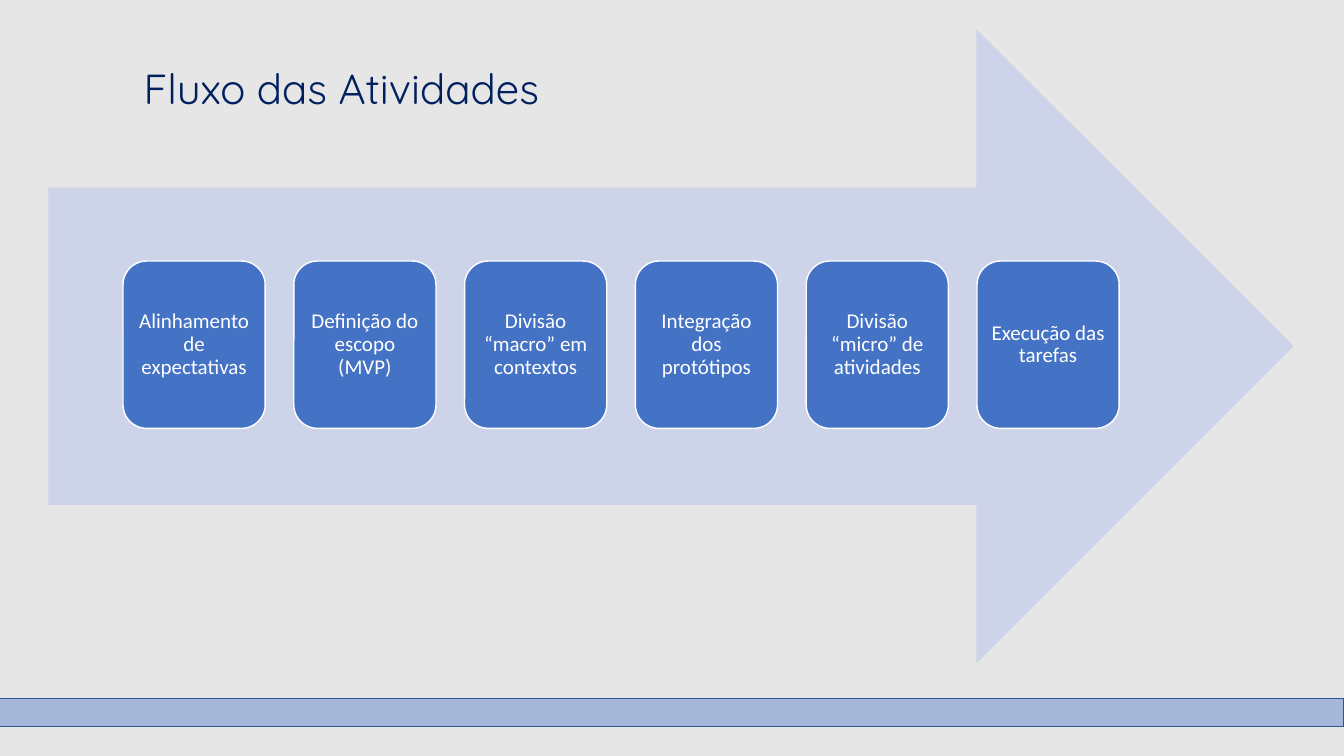
from pptx import Presentation
from pptx.dml.color import RGBColor
from pptx.enum.shapes import MSO_SHAPE
from pptx.enum.text import MSO_ANCHOR, PP_ALIGN
from pptx.oxml.ns import qn
from pptx.util import Inches, Pt
from lxml import etree

RECT, ARROW, ROUND = MSO_SHAPE.RECTANGLE, MSO_SHAPE.RIGHT_ARROW, MSO_SHAPE.ROUNDED_RECTANGLE
TOP, MIDDLE = MSO_ANCHOR.TOP, MSO_ANCHOR.MIDDLE
CENTER = PP_ALIGN.CENTER

COLORS = {
    "background": "E7E6E6",
    "blue": "4472C4",
    "band_line": "32538F",
    "arrow": "CDD4EA",
    "white": "FFFFFF",
    "title": "002060",
}

STEPS = [
    "Alinhamento de expectativas",
    "Definição do escopo (MVP)",
    "Divisão “macro” em contextos",
    "Integração dos protótipos",
    "Divisão “micro” de atividades",
    "Execução das tarefas",
]
STEP_LEFT, STEP_PITCH = 1.22, 1.694


def color(name):
    return RGBColor.from_string(COLORS[name])


def write(sp, text, font, size, fill, anchor=TOP, inset=0.05, spacing=None):
    tf = sp.text_frame
    tf.word_wrap = True
    tf.vertical_anchor = anchor
    tf.margin_left = tf.margin_right = tf.margin_top = tf.margin_bottom = Inches(inset)
    p = tf.paragraphs[0]
    p.alignment = CENTER
    p.line_spacing = spacing
    r = p.add_run()
    r.text = text
    r.font.name = font
    r.font.size = Pt(size)
    r.font.color.rgb = color(fill)


def add_shape(s, kind, left, top, width, height, fill, line=None, alpha=None):
    sp = s.shapes.add_shape(kind, Inches(left), Inches(top), Inches(width), Inches(height))
    sp.shadow.inherit = False
    sp.fill.solid()
    sp.fill.fore_color.rgb = color(fill)
    if alpha is not None:
        srgb = sp.fill._xPr.find(qn("a:solidFill")).find(qn("a:srgbClr"))
        etree.SubElement(srgb, qn("a:alpha")).set("val", str(alpha * 1000))
    if line:
        sp.line.color.rgb = color(line)
        sp.line.width = Pt(1)
    else:
        sp.line.fill.background()
    return sp


def add_step(s, index, text):
    left = STEP_LEFT + index * STEP_PITCH
    sp = add_shape(s, ROUND, left, 2.59, 1.41, 1.66, "blue", line="white")
    write(sp, text, "Calibri", 15, "white", anchor=MIDDLE, inset=0.06, spacing=0.9)


def add_title(s, text):
    sp = s.shapes.add_textbox(Inches(0.79), Inches(0.57), Inches(5.19), Inches(1.13))
    write(sp, text, "Quicksand", 30, "title")


def main():
    prs = Presentation()
    prs.slide_width, prs.slide_height = Inches(13.33), Inches(7.5)
    s = prs.slides.add_slide(prs.slide_layouts[6])
    s.background.fill.solid()
    s.background.fill.fore_color.rgb = color("background")

    # Footer band
    add_shape(s, RECT, -0.03, 6.93, 13.36, 0.28, "blue", line="band_line", alpha=40)

    # Arrow with the steps of the flow
    add_shape(s, ARROW, 0.48, 0.29, 12.35, 6.29, "arrow")
    for index, text in enumerate(STEPS):
        add_step(s, index, text)

    # Title
    add_title(s, "Fluxo das Atividades")

    prs.save("out.pptx")


if __name__ == "__main__":
    main()
